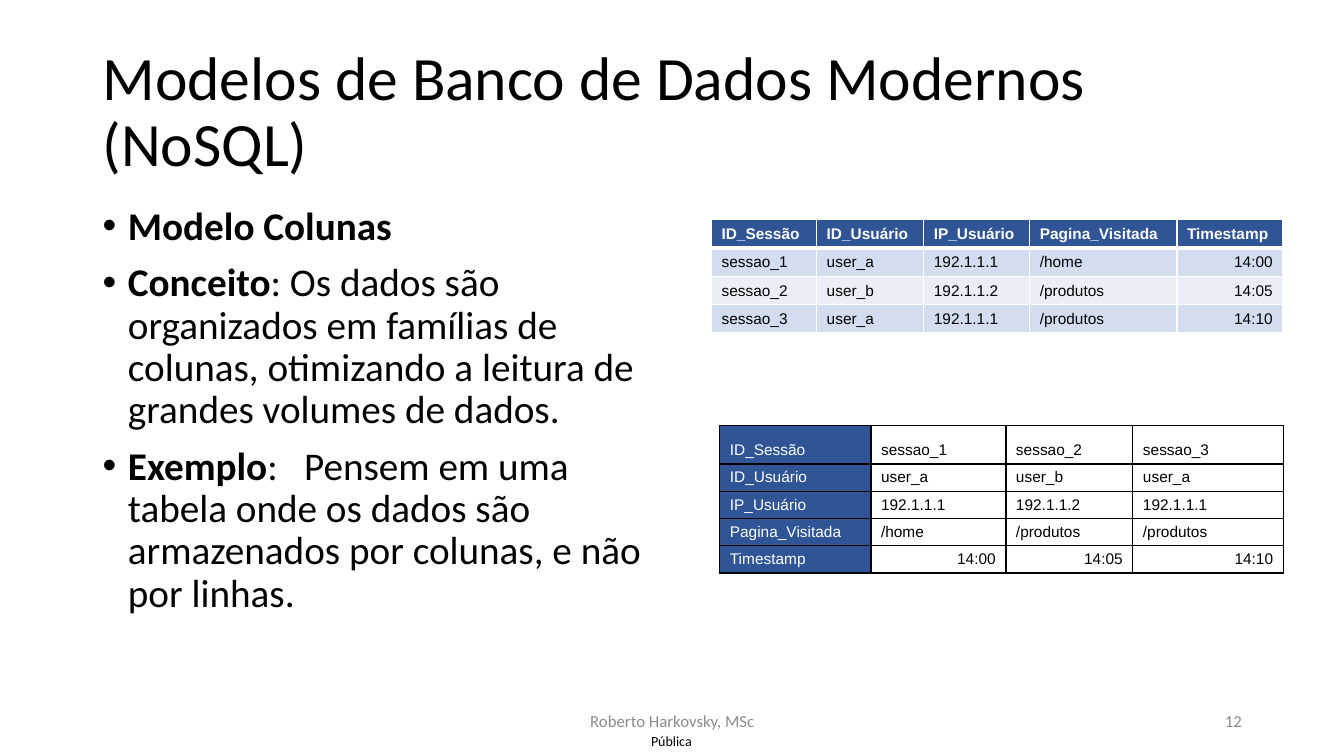
from dataclasses import dataclass

from lxml.etree import SubElement
from pptx import Presentation
from pptx.dml.color import RGBColor
from pptx.enum.text import MSO_ANCHOR, MSO_AUTO_SIZE, PP_ALIGN
from pptx.oxml.ns import qn
from pptx.shapes.base import BaseShape
from pptx.slide import Slide
from pptx.table import _Cell
from pptx.text.text import TextFrame, _Paragraph
from pptx.util import Cm, Pt

BLACK = RGBColor(0x00, 0x00, 0x00)
WHITE = RGBColor(0xFF, 0xFF, 0xFF)
GRAY = RGBColor(0x8C, 0x8C, 0x8C)
HEADER_BLUE = RGBColor(0x2F, 0x55, 0x97)
BAND_DARK = RGBColor(0xD2, 0xDE, 0xEF)
BAND_LIGHT = RGBColor(0xEA, 0xEF, 0xF7)

PLAIN_TABLE_STYLE = "{2D5ABB26-0587-4C30-8999-92F81FD0307C}"

SESSIONS = [
    ("ID_Sessão", "ID_Usuário", "IP_Usuário", "Pagina_Visitada", "Timestamp"),
    ("sessao_1", "user_a", "192.1.1.1", "/home", "14:00"),
    ("sessao_2", "user_b", "192.1.1.2", "/produtos", "14:05"),
    ("sessao_3", "user_a", "192.1.1.1", "/produtos", "14:10"),
]
TOPICS = [
    ("Modelo Colunas", ""),
    ("Conceito", ": Os dados são organizados em famílias de colunas, "
                 "otimizando a leitura de grandes volumes de dados."),
    ("Exemplo", ": \tPensem em uma tabela onde os dados são "
                "armazenados por colunas, e não por linhas."),
]


@dataclass(frozen=True)
class Box:
    """Position and size in centimetres."""
    left: float
    top: float
    width: float
    height: float


@dataclass(frozen=True)
class SessionTable:
    left: float
    top: float
    column_widths: tuple[float, ...]
    row_heights: tuple[float, ...]
    by_columns: bool
    border: RGBColor


@dataclass(frozen=True)
class FooterText:
    text: str
    box: Box
    size: int
    color: RGBColor
    align: PP_ALIGN
    margin: float
    wrap: bool = True


TABLES = [
    SessionTable(17.93, 5.54, (2.65, 2.7, 2.67, 3.71, 2.67), (0.71,) * 4, False, WHITE),
    SessionTable(18.14, 10.72, (3.81, 3.4, 3.2, 3.79), (0.97,) + (0.53,) * 4, True, BLACK),
]
FOOTERS = [
    FooterText("Pública", Box(16.03, 18.31, 1.78, 0.74), 10, BLACK,
               PP_ALIGN.CENTER, 0, wrap=False),
    FooterText("Roberto Harkovsky, MSc", Box(11.23, 17.65, 11.43, 1.02), 12, GRAY,
               PP_ALIGN.CENTER, 0.25),
    FooterText("12", Box(23.93, 17.65, 7.62, 1.02), 12, GRAY, PP_ALIGN.RIGHT, 0.25),
]


def add_text(paragraph: _Paragraph, text: str, *, size: float, color: RGBColor = BLACK,
             font: str = "Calibri", bold: bool = False) -> None:
    run = paragraph.add_run()
    run.text = text
    run.font.name = font
    run.font.size = Pt(size)
    run.font.bold = bold
    run.font.color.rgb = color


def place(shape: BaseShape, box: Box) -> None:
    shape.left, shape.top = Cm(box.left), Cm(box.top)
    shape.width, shape.height = Cm(box.width), Cm(box.height)


def prepare_frame(frame: TextFrame, anchor: MSO_ANCHOR) -> None:
    frame.word_wrap = True
    frame.auto_size = MSO_AUTO_SIZE.NONE
    frame.vertical_anchor = anchor


def add_bullet(paragraph: _Paragraph) -> None:
    """Give the paragraph a round bullet, a hanging indent and wide tab stops."""
    properties = paragraph._p.get_or_add_pPr()
    properties.set("marL", str(Cm(0.64)))
    properties.set("indent", str(Cm(-0.64)))
    properties.set("defTabSz", str(Cm(2.54)))
    SubElement(properties, qn("a:buFont"), typeface="Arial")
    SubElement(properties, qn("a:buChar"), char="•")


def add_title(slide: Slide) -> None:
    title = slide.shapes.title
    place(title, Box(2.33, 1.02, 29.21, 3.68))
    prepare_frame(title.text_frame, MSO_ANCHOR.MIDDLE)
    paragraph = title.text_frame.paragraphs[0]
    paragraph.alignment = PP_ALIGN.LEFT
    paragraph.line_spacing = 0.9
    add_text(paragraph, "Modelos de Banco de Dados Modernos (NoSQL)", size=44)


def add_topics(slide: Slide) -> None:
    body = slide.placeholders[1]
    place(body, Box(2.33, 5.08, 14.4, 12.09))
    frame = body.text_frame
    prepare_frame(frame, MSO_ANCHOR.TOP)
    for index, (term, explanation) in enumerate(TOPICS):
        paragraph = frame.add_paragraph() if index else frame.paragraphs[0]
        add_bullet(paragraph)
        paragraph.line_spacing = 0.9
        paragraph.space_before = Pt(10 if index else 0)
        add_text(paragraph, term, size=28, bold=True)
        if explanation:
            add_text(paragraph, explanation, size=28)


def add_footer(slide: Slide, footer: FooterText) -> None:
    box = footer.box
    shape = slide.shapes.add_textbox(Cm(box.left), Cm(box.top), Cm(box.width), Cm(box.height))
    frame = shape.text_frame
    prepare_frame(frame, MSO_ANCHOR.MIDDLE)
    frame.word_wrap = footer.wrap
    frame.margin_left = frame.margin_right = Cm(footer.margin)
    frame.margin_top = frame.margin_bottom = Cm(footer.margin / 2)
    paragraph = frame.paragraphs[0]
    paragraph.alignment = footer.align
    add_text(paragraph, footer.text, size=footer.size, color=footer.color)


def set_borders(cell: _Cell, color: RGBColor, top: float, bottom: float) -> None:
    """Draw the four sides; top and bottom are widths in points."""
    properties = cell._tc.get_or_add_tcPr()
    for side, width in (("L", 1), ("R", 1), ("T", top), ("B", bottom)):
        line = SubElement(properties, qn(f"a:ln{side}"), w=str(Pt(width)))
        fill = SubElement(line, qn("a:solidFill"))
        SubElement(fill, qn("a:srgbClr"), val=str(color))


def add_session_table(slide: Slide, layout: SessionTable) -> None:
    """Show the sessions as rows, or turned so that each one is a column."""
    rows = list(zip(*SESSIONS)) if layout.by_columns else SESSIONS
    table_frame = slide.shapes.add_table(
        len(rows), len(rows[0]), Cm(layout.left), Cm(layout.top),
        Cm(sum(layout.column_widths)), Cm(sum(layout.row_heights)))
    table = table_frame.table
    table.first_row = table.horz_banding = False
    table._tbl.tblPr.find(qn("a:tableStyleId")).text = PLAIN_TABLE_STYLE
    for column, width in zip(table.columns, layout.column_widths):
        column.width = Cm(width)
    for row, height in zip(table.rows, layout.row_heights):
        row.height = Cm(height)

    for row_index, values in enumerate(rows):
        for column_index, text in enumerate(values):
            cell = table.cell(row_index, column_index)
            cell.vertical_anchor = MSO_ANCHOR.BOTTOM
            is_header = (column_index if layout.by_columns else row_index) == 0
            top = 3 if not layout.by_columns and row_index == 1 else 1
            bottom = 3 if not layout.by_columns and is_header else 1
            set_borders(cell, layout.border, top, bottom)
            if is_header:
                cell.fill.solid()
                cell.fill.fore_color.rgb = HEADER_BLUE
            elif layout.by_columns:
                cell.fill.background()
            else:
                cell.fill.solid()
                cell.fill.fore_color.rgb = BAND_DARK if row_index % 2 else BAND_LIGHT
            paragraph = cell.text_frame.paragraphs[0]
            paragraph.alignment = PP_ALIGN.RIGHT if ":" in text else PP_ALIGN.LEFT
            add_text(paragraph, text, size=11, font="Arial",
                     color=WHITE if is_header else BLACK,
                     bold=is_header and not layout.by_columns)


def main() -> None:
    presentation = Presentation()
    presentation.slide_width, presentation.slide_height = Cm(33.87), Cm(19.05)
    slide = presentation.slides.add_slide(presentation.slide_layouts[1])
    add_title(slide)
    add_topics(slide)
    for footer in FOOTERS:
        add_footer(slide, footer)
    for layout in TABLES:
        add_session_table(slide, layout)
    presentation.save("out.pptx")


if __name__ == "__main__":
    main()
